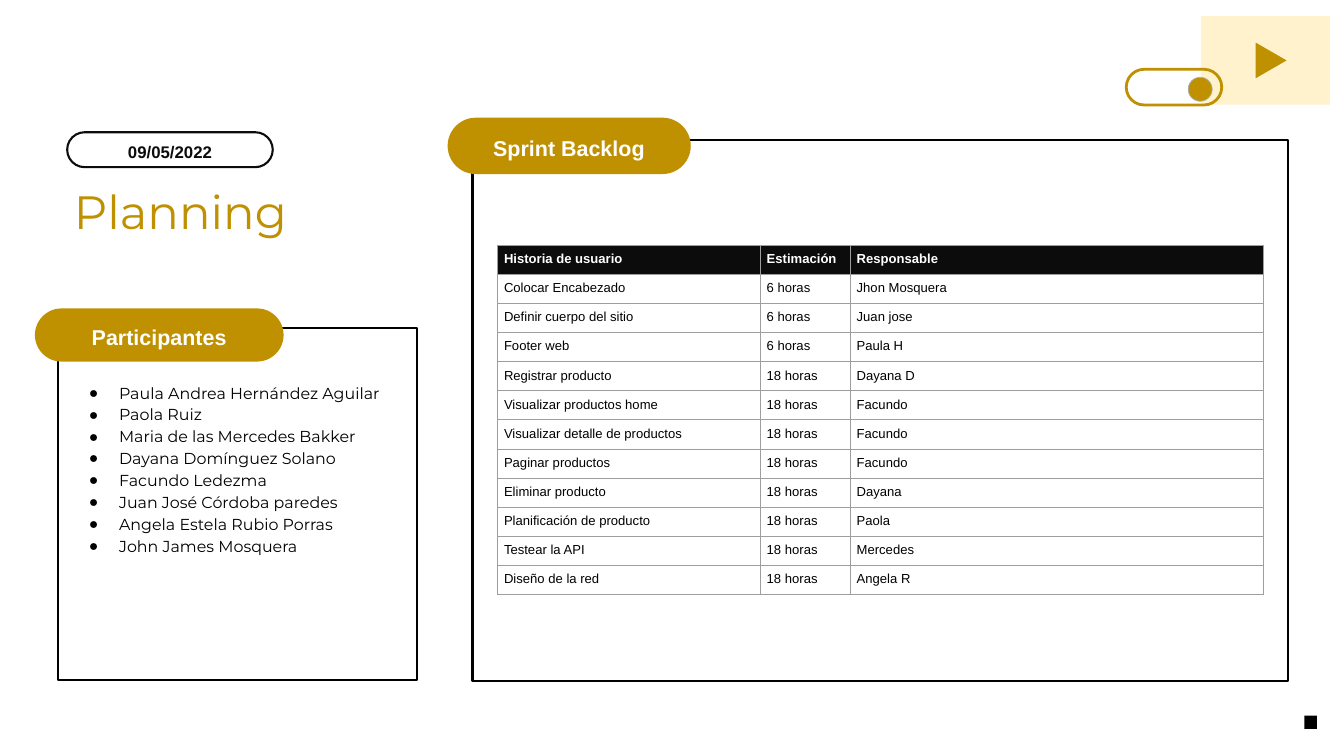
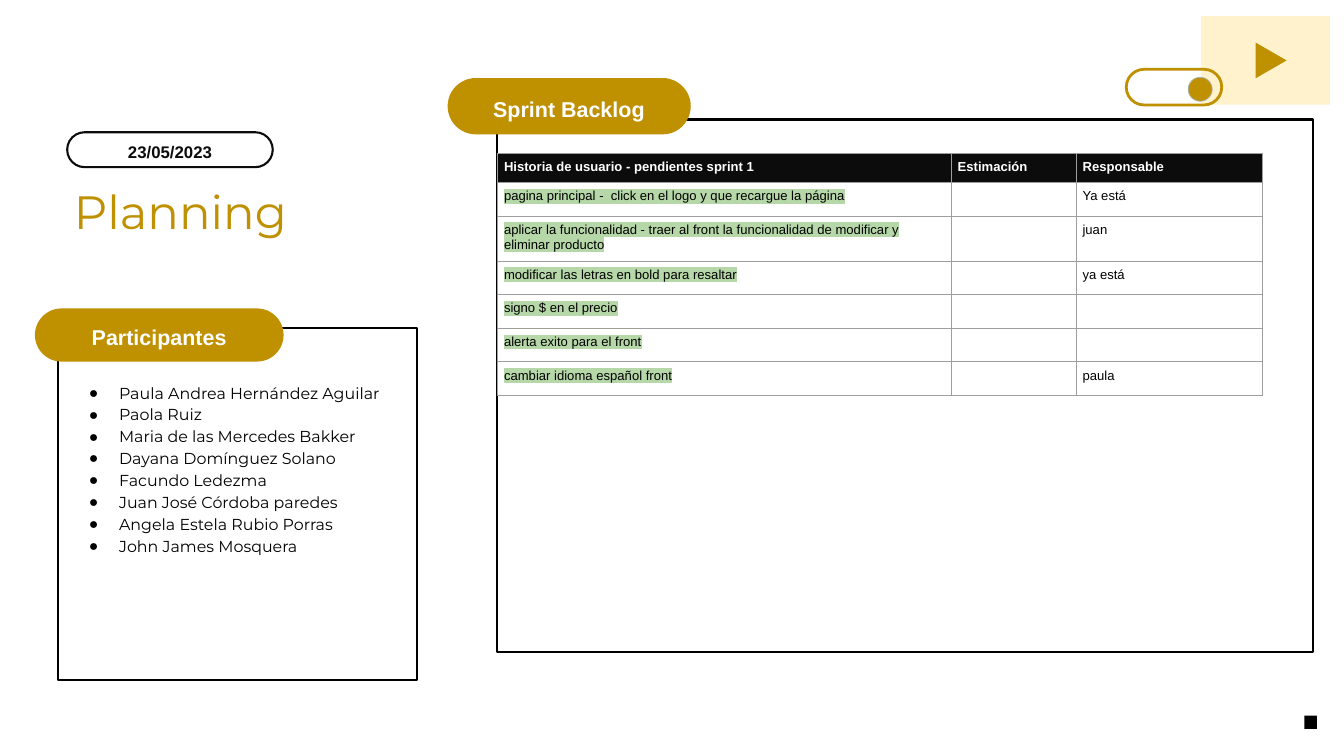
from lxml.etree import SubElement
from pptx import Presentation
from pptx.dml.color import RGBColor
from pptx.enum.shapes import MSO_SHAPE as Shape
from pptx.enum.text import MSO_ANCHOR as Anchor, MSO_AUTO_SIZE as AutoSize, PP_ALIGN as Align
from pptx.oxml import parse_xml
from pptx.oxml.ns import nsdecls, qn
from pptx.util import Cm, Pt

COLORS = {
    "gold": "BF9000",
    "cream": "FFF2CC",
    "black": "000000",
    "ink": "0C0C0C",
    "white": "FFFFFF",
    "grid": "9E9E9E",
    "knob_edge": "ABB4B7",
    "highlight": "B6D7A8",
}
INSET = 0.25

PARTICIPANTS = [
    "Paula Andrea Hernández Aguilar",
    "Paola Ruiz",
    "Maria de las Mercedes Bakker",
    "Dayana Domínguez Solano",
    "Facundo Ledezma",
    "Juan José Córdoba paredes",
    "Angela Estela Rubio Porras",
    "John James Mosquera",
]

SPRINTS = [
    {
        "date": "09/05/2022",
        "frame": (17.86, 5.31, 30.84, 20.42),
        "pill_top": 4.45,
        "table_top": 9.27,
        "columns": [9.93, 3.4, 15.62],
        "heights": [1.1] * 12,
        "highlighted": False,
        "rows": [
            ("Historia de usuario", "Estimación", "Responsable"),
            ("Colocar Encabezado", "6 horas", "Jhon Mosquera"),
            ("Definir cuerpo del sitio", "6 horas", "Juan jose"),
            ("Footer web", "6 horas", "Paula H"),
            ("Registrar producto", "18 horas", "Dayana D"),
            ("Visualizar productos home", "18 horas", "Facundo"),
            ("Visualizar detalle de productos", "18 horas", "Facundo"),
            ("Paginar productos", "18 horas", "Facundo"),
            ("Eliminar producto", "18 horas", "Dayana"),
            ("Planificación de producto", "18 horas", "Paola"),
            ("Testear la API", "18 horas", "Mercedes"),
            ("Diseño de la red", "18 horas", "Angela R"),
        ],
    },
    {
        "date": "23/05/2023",
        "frame": (18.8, 4.52, 30.84, 20.14),
        "pill_top": 2.95,
        "table_top": 5.79,
        "columns": [17.15, 4.72, 7.06],
        "heights": [1.1, 1.27, 1.7, 1.27, 1.27, 1.27, 1.27],
        "highlighted": True,
        "rows": [
            ("Historia de usuario - pendientes sprint 1", "Estimación", "Responsable"),
            ("pagina principal -  click en el logo y que recargue la página", "", "Ya está"),
            ("aplicar la funcionalidad - traer al front la funcionalidad de "
             "modificar y eliminar producto", "", "juan"),
            ("modificar las letras en bold para resaltar", "", "ya está"),
            ("signo $ en el precio", "", ""),
            ("alerta exito para el front", "", ""),
            ("cambiar idioma español front", "", "paula"),
        ],
    },
]


def add_box(page, kind, place, fill=None, line=None, width=2.25):
    box = page.shapes.add_shape(kind, *map(Cm, place))
    box.shadow.inherit = False
    if kind == Shape.ROUNDED_RECTANGLE:
        box.adjustments[0] = 0.5
    elif kind == Shape.ROUND_2_SAME_RECTANGLE:
        box.adjustments[0] = box.adjustments[1] = 0
    if fill:
        box.fill.solid()
        box.fill.fore_color.rgb = RGBColor.from_string(COLORS[fill])
    else:
        box.fill.background()
    if line:
        box.line.color.rgb = RGBColor.from_string(COLORS[line])
        box.line.width = Pt(width)
    else:
        box.line.fill.background()
    return box


def add_run(para, text, size, color, font="Arial", bold=False):
    span = para.add_run()
    span.text = text
    span.font.name = font
    span.font.size = Pt(size)
    span.font.bold = bold
    span.font.color.rgb = RGBColor.from_string(COLORS[color])
    return span


deck = Presentation()
deck.slide_width, deck.slide_height = Cm(50.8), Cm(28.58)

for sprint in SPRINTS:
    page = deck.slides.add_slide(deck.slide_layouts[1])
    title, body = page.placeholders

    # Title
    title.left, title.top, title.width, title.height = map(Cm, (2.54, 6.91, 10.08, 2.13))
    frame = title.text_frame
    frame.word_wrap, frame.auto_size = True, AutoSize.NONE
    frame.vertical_anchor = Anchor.MIDDLE
    frame.margin_left = frame.margin_right = Cm(INSET)
    frame.margin_top = frame.margin_bottom = Cm(INSET)
    frame.paragraphs[0].alignment = Align.LEFT
    add_run(frame.paragraphs[0], "Planning", 50, "gold", "Montserrat")

    # Participant list
    body.left, body.top, body.width, body.height = map(Cm, (3.23, 14.38, 11.81, 11.23))
    frame = body.text_frame
    frame.word_wrap, frame.auto_size = True, AutoSize.NONE
    frame.vertical_anchor = Anchor.TOP
    frame.margin_left = frame.margin_right = frame.margin_top = frame.margin_bottom = 0
    for index, name in enumerate(PARTICIPANTS):
        para = frame.add_paragraph() if index else frame.paragraphs[0]
        props = para._p.get_or_add_pPr()
        props.set("marL", str(Cm(1.27)))
        props.set("indent", str(Cm(-1.14)))
        bullet_color = SubElement(props, qn("a:buClr"))
        SubElement(bullet_color, qn("a:srgbClr")).set("val", COLORS["black"])
        SubElement(props, qn("a:buChar")).set("char", "●")
        para.alignment = Align.LEFT
        para.line_spacing = 1.15
        para.space_before = Pt(0)
        add_run(para, name, 17, "black", "Montserrat")

    # Frames and pills
    pill_top = sprint["pill_top"]
    add_box(page, Shape.ROUND_2_SAME_RECTANGLE, (2.21, 12.4, 13.54, 13.31), line="black")
    add_box(page, Shape.ROUND_2_SAME_RECTANGLE, sprint["frame"], line="black")
    add_box(page, Shape.ROUNDED_RECTANGLE, (1.32, 11.66, 9.4, 2.01), "gold")
    add_box(page, Shape.ROUNDED_RECTANGLE, (16.92, pill_top, 9.19, 2.13), "gold")
    add_box(page, Shape.ROUNDED_RECTANGLE, (2.54, 5, 7.77, 1.32), "white", "ink")

    # Pill labels
    for text, place, inset, size, color in [
        ("Participantes", (2.72, 12.17, 6.6, 1), 0, 23, "white"),
        ("Sprint Backlog", (18.21, pill_top + 0.57, 6.6, 1), 0, 23, "white"),
        (sprint["date"], (2.97, 5.03, 6.91, 1.27), INSET, 18, "ink"),
    ]:
        label = page.shapes.add_textbox(*map(Cm, place))
        frame = label.text_frame
        frame.word_wrap, frame.auto_size = True, AutoSize.SHAPE_TO_FIT_TEXT
        frame.margin_left = frame.margin_right = Cm(inset)
        frame.margin_top = frame.margin_bottom = Cm(inset)
        para = frame.paragraphs[0]
        para.alignment = Align.CENTER
        para.line_spacing = 1.1
        add_run(para, text, size, color, bold=True)

    # Backlog table
    rows, columns, heights = sprint["rows"], sprint["columns"], sprint["heights"]
    table = page.shapes.add_table(
        len(rows), len(columns), Cm(18.8), Cm(sprint["table_top"]),
        Cm(sum(columns)), Cm(sum(heights))).table
    table.first_row = table.horz_banding = False
    for column, width in zip(table.columns, columns):
        column.width = Cm(width)
    for row_index, (row, height, texts) in enumerate(zip(table.rows, heights, rows)):
        row.height = Cm(height)
        header = row_index == 0
        for column_index, (cell, text) in enumerate(zip(row.cells, texts)):
            cell.margin_left = cell.margin_right = Cm(INSET)
            cell.margin_top = cell.margin_bottom = Cm(INSET)
            if header:
                cell.fill.solid()
                cell.fill.fore_color.rgb = RGBColor.from_string(COLORS["ink"])
            else:
                cell.fill.background()
            for position, side in enumerate(("lnL", "lnR", "lnT", "lnB")):
                cell._tc.get_or_add_tcPr().insert(position, parse_xml(
                    f'<a:{side} {nsdecls("a")} w="{Pt(0.75)}"><a:solidFill>'
                    f'<a:srgbClr val="{COLORS["grid"]}"/></a:solidFill></a:{side}>'))
            if not text:
                continue
            span = add_run(cell.text_frame.paragraphs[0], text, 14,
                           "white" if header else "black", bold=header)
            if sprint["highlighted"] and not header and column_index == 0:
                span._r.rPr.find(qn("a:latin")).addprevious(parse_xml(
                    f'<a:highlight {nsdecls("a")}>'
                    f'<a:srgbClr val="{COLORS["highlight"]}"/></a:highlight>'))

    # Play button and switch
    add_box(page, Shape.RECTANGLE, (45.39, 0.61, 4.88, 3.35), "cream")
    play = add_box(page, Shape.ISOSCELES_TRIANGLE, (47.37, 1.7, 1.35, 1.17), "gold")
    play.rotation = 90
    add_box(page, Shape.ROUNDED_RECTANGLE, (42.57, 2.62, 3.61, 1.35), line="gold", width=3)
    add_box(page, Shape.OVAL, (44.91, 2.92, 0.91, 0.91), "gold", "knob_edge", 0.75)

    # Corner mark
    add_box(page, Shape.RECTANGLE, (49.3, 27.05, 0.48, 0.51), "black")

deck.save("out.pptx")
